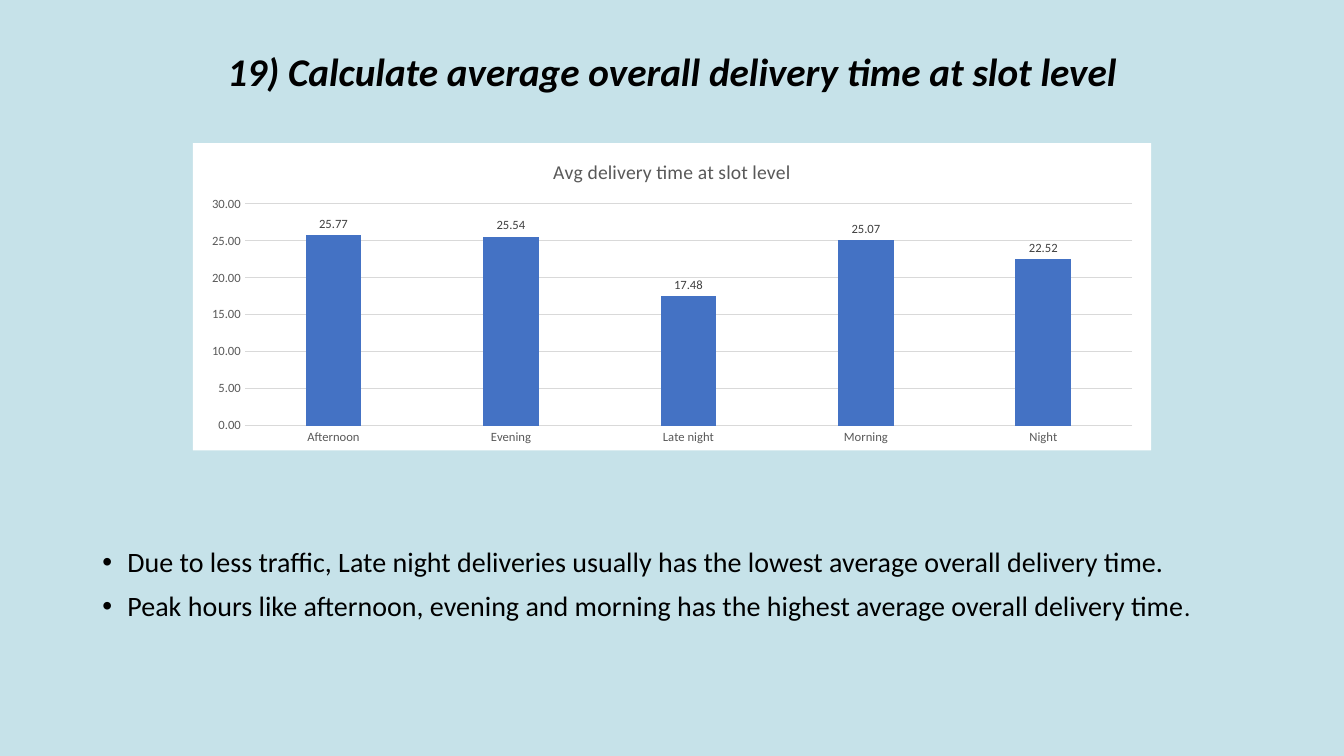
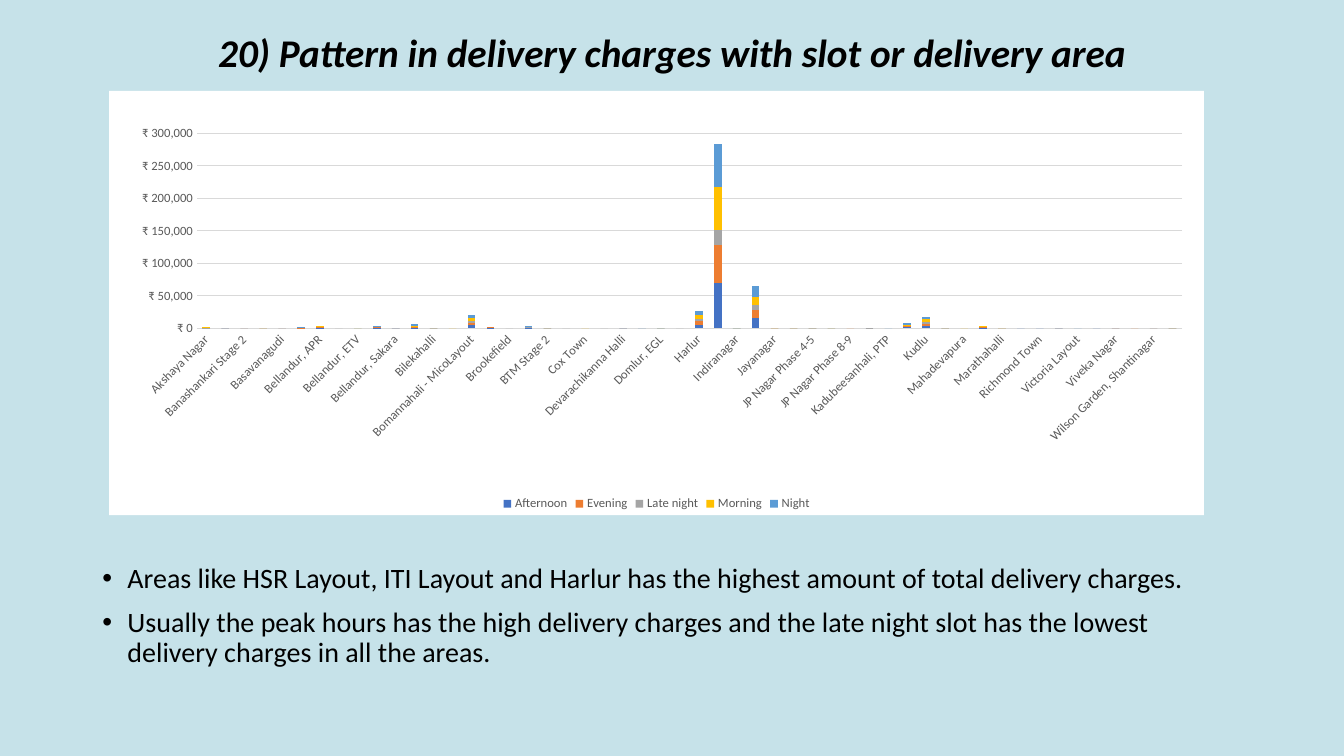
import pptx
import pptx.util
import pptx.dml.color
import pptx.chart.data
import pptx.enum.chart
import pptx.enum.text
import pptx.oxml

Pt = pptx.util.Pt
RGBColor = pptx.dml.color.RGBColor
ChartType = pptx.enum.chart.XL_CHART_TYPE

FONT = "Calibri"
SKY = RGBColor(0xC6, 0xE2, 0xE9)
BLACK = RGBColor(0, 0, 0)
AXIS_GRAY = RGBColor(0x59, 0x59, 0x59)
LABEL_GRAY = RGBColor(0x40, 0x40, 0x40)
GRID_GRAY = RGBColor(0xD9, 0xD9, 0xD9)
SERIES_COLORS = [
    RGBColor(0x44, 0x72, 0xC4),
    RGBColor(0xED, 0x7D, 0x31),
    RGBColor(0xA5, 0xA5, 0xA5),
    RGBColor(0xFF, 0xC0, 0x00),
    RGBColor(0x5B, 0x9B, 0xD5),
]
CHART_NS = 'xmlns:c="http://schemas.openxmlformats.org/drawingml/2006/chart"'
DRAWING_NS = 'xmlns:a="http://schemas.openxmlformats.org/drawingml/2006/main"'
SIDE, TEXT_WIDTH = 66, 828

# Data
SLOTS = ["Afternoon", "Evening", "Late night", "Morning", "Night"]
AREAS = [
    "Akshaya Nagar", "Arekere", "Banashankari Stage 2", "Bannerghatta",
    "Basavanagudi", "Bellandur - Off Sarjapur Road", "Bellandur, APR",
    "Bellandur, Ecospace", "Bellandur, ETV", "Bellandur, Green Glen",
    "Bellandur, Sakara", "Bellandur, Sarjapur Road", "Bilekahalli", "Binnipet",
    "Bomannahali - MicoLayout", "Bommanahalli", "Brookefield", "BTM Stage 1",
    "BTM Stage 2", "Challagatta", "Cox Town", "CV Raman Nagar",
    "Devarachikanna Halli", "Doddanekundi", "Domlur, EGL", "Frazer Town",
    "Harlur", "HSR Layout", "Indiranagar", "ITI Layout", "Jayanagar",
    "JP Nagar Phase 1-3", "JP Nagar Phase 4-5", "JP Nagar Phase 6-7",
    "JP Nagar Phase 8-9", "Kadubeesanhali, Heritage", "Kadubeesanhali, PTP",
    "Koramangala, Ejipura", "Kudlu", "Kumaraswamy Layout", "Mahadevapura",
    "Manipal County", "Marathahalli", "Pattandur", "Richmond Town",
    "Sarjapur Road", "Victoria Layout", "Vimanapura", "Viveka Nagar",
    "Whitefield", "Wilson Garden, Shantinagar", "Yemalur",
]
# Charges in thousands, one row per slot and one entry per area; "-" is no data
CHARGES = [
    "0 0 - - - 0 1 - - 1 0 1 0 - 5 1 - 1 0 - - - 0 - 0 - "
    "6 70 0 16 0 - 0 0 - 0 - 2 4 0 - 1 - 0 0 0 - 0 0 - - 0",
    "0 0 0 0 0 1 1 - - 1 0 1 0 - 4 1 - 0 0 - - - 0 - - - "
    "5 58 - 12 0 0 0 - 0 - - 1 3 0 - 1 0 - - 0 - - 0 0 0 0",
    "1 0 - - - 0 - 0 - 0 0 1 0 - 2 0 0 1 0 0 - 0 0 0 0 0 "
    "3 23 0 8 - 0 0 0 - 1 - 2 3 - - 1 - - - 0 - - 0 - - -",
    "1 - - 0 - 0 1 - 0 1 - 1 0 0 5 0 - 0 0 - 0 - - - 0 - "
    "6 66 0 13 0 0 0 0 - - - 1 4 0 0 1 0 - - - - - - - - 0",
    "0 0 0 0 0 1 0 - 0 1 0 3 0 - 5 0 - 1 0 - - - 0 0 0 - "
    "6 66 0 17 - 0 0 - - 0 0 2 3 0 - 0 0 - - 0 0 - - - 0 0",
]
charges_by_slot = {
    slot: [None if entry == "-" else int(entry) * 1000 for entry in row.split()]
    for slot, row in zip(SLOTS, CHARGES)
}

SLIDES = [
    {
        "title": "19) Calculate average overall delivery time at slot level",
        "title_top": 29, "title_height": 47.5,
        "bullets": [
            [("Due to less traffic, Late night deliveries usually has the lowest "
              "average overall delivery time.", 20)],
            [("Peak hours like afternoon, evening and morning has the highest "
              "average overall delivery time", 20), (".", 18)],
        ],
        "bullets_top": 388, "bullets_height": 98,
        "chart_type": ChartType.COLUMN_CLUSTERED,
        "chart_place": (137.8, 102.2, 684.5, 219.5),
        "chart_title": "Avg delivery time at slot level",
        "categories": SLOTS,
        "series": {"Series 1": [25.77, 25.54, 17.48, 25.07, 22.52]},
        "gap": 219, "overlap": -27, "format": "0.00", "maximum": 30, "step": 5,
    },
    {
        "title": "20) Pattern in delivery charges with slot or delivery area",
        "title_top": 13, "title_height": 52,
        "bullets": [
            [("Areas like HSR Layout, ITI Layout and Harlur has the highest amount "
              "of total delivery charges.", 20)],
            [("Usually the peak hours has the high delivery charges and the late "
              "night slot has the lowest delivery charges in all the areas.", 20)],
        ],
        "bullets_top": 399.5, "bullets_height": 87,
        "chart_type": ChartType.COLUMN_STACKED,
        "chart_place": (78, 65, 782, 303),
        "chart_title": None,
        "categories": AREAS,
        "series": charges_by_slot,
        "gap": 150, "overlap": 100, "format": '"₹"\\ #,##0',
        "maximum": 300000, "step": 50000,
        "plot": {"x": 0.08, "y": 0.1, "w": 0.9, "h": 0.46},
    },
]


def style_font(font, size, color, strong=False):
    font.name = FONT
    font.size = Pt(size)
    font.color.rgb = color
    font.bold = font.italic = strong


# Deck and shared background
deck = pptx.Presentation()
deck.slide_width, deck.slide_height = Pt(960), Pt(540)
background = deck.slide_master.background.fill
background.solid()
background.fore_color.rgb = SKY

for content in SLIDES:
    page = deck.slides.add_slide(deck.slide_layouts[5])

    # Title
    title = page.shapes.title
    title.left, title.top = Pt(SIDE), Pt(content["title_top"])
    title.width, title.height = Pt(TEXT_WIDTH), Pt(content["title_height"])
    title.text_frame.auto_size = pptx.enum.text.MSO_AUTO_SIZE.NONE
    title.text_frame.vertical_anchor = pptx.enum.text.MSO_ANCHOR.MIDDLE
    para = title.text_frame.paragraphs[0]
    para.alignment = pptx.enum.text.PP_ALIGN.CENTER
    para.line_spacing = 0.9
    span = para.add_run()
    span.text = content["title"]
    style_font(span.font, 28, BLACK, strong=True)

    # Bullets
    box = page.shapes.add_textbox(Pt(SIDE), Pt(content["bullets_top"]),
                                  Pt(TEXT_WIDTH), Pt(content["bullets_height"]))
    box.text_frame.word_wrap = True
    for index, spans in enumerate(content["bullets"]):
        para = box.text_frame.paragraphs[0] if index == 0 else box.text_frame.add_paragraph()
        para.line_spacing = 0.9
        para.space_before = Pt(10)
        properties = para._p.get_or_add_pPr()
        properties.set("marL", str(Pt(18)))
        properties.set("indent", str(Pt(-18)))
        for bullet in ('<a:buFont %s typeface="Arial"/>', '<a:buChar %s char="•"/>'):
            properties.append(pptx.oxml.parse_xml(bullet % DRAWING_NS))
        for text, size in spans:
            span = para.add_run()
            span.text = text
            style_font(span.font, size, BLACK)

    # Chart on a white panel
    data = pptx.chart.data.CategoryChartData()
    data.categories = content["categories"]
    for name, values in content["series"].items():
        data.add_series(name, values)
    place = [Pt(length) for length in content["chart_place"]]
    chart = page.shapes.add_chart(content["chart_type"], *place, data).chart
    style_font(chart.font, 10, BLACK)
    chart._chartSpace.chart.addnext(pptx.oxml.parse_xml(
        f'<c:spPr {CHART_NS} {DRAWING_NS}><a:solidFill><a:srgbClr val="FFFFFF"/>'
        '</a:solidFill><a:ln><a:noFill/></a:ln></c:spPr>'))

    # Columns
    plot = chart.plots[0]
    plot.vary_by_categories = False
    plot.gap_width = content["gap"]
    plot.overlap = content["overlap"]
    for series, color in zip(plot.series, SERIES_COLORS):
        series.invert_if_negative = False
        series.format.fill.solid()
        series.format.fill.fore_color.rgb = color

    # Axes
    for axis in (chart.category_axis, chart.value_axis):
        axis.major_tick_mark = axis.minor_tick_mark = pptx.enum.chart.XL_TICK_MARK.NONE
        style_font(axis.tick_labels.font, 9, AXIS_GRAY)
    category_line = chart.category_axis.format.line
    grid_line = chart.value_axis.major_gridlines.format.line
    for line in (category_line, grid_line):
        line.color.rgb = GRID_GRAY
        line.width = Pt(0.75)
    # This angle lets the labels turn by themselves when they are crowded
    chart.category_axis._element.txPr.bodyPr.set("rot", "-60000000")
    chart.value_axis.format.line.fill.background()
    chart.value_axis.minimum_scale = 0
    chart.value_axis.maximum_scale = content["maximum"]
    chart.value_axis.major_unit = content["step"]
    chart.value_axis.tick_labels.number_format = content["format"]
    chart.value_axis.tick_labels.number_format_is_linked = False

    # One series: title and values; several: legend and a fixed plot area
    chart.has_title = content["chart_title"] is not None
    chart.has_legend = not chart.has_title
    if chart.has_title:
        chart.chart_title.include_in_layout = False
        span = chart.chart_title.text_frame.paragraphs[0].add_run()
        span.text = content["chart_title"]
        style_font(span.font, 14, AXIS_GRAY)
        plot.has_data_labels = True
        labels = plot.data_labels
        labels.show_value = True
        labels.position = pptx.enum.chart.XL_LABEL_POSITION.OUTSIDE_END
        labels.number_format = content["format"]
        labels.number_format_is_linked = False
        style_font(labels.font, 9, LABEL_GRAY)
    else:
        chart.legend.position = pptx.enum.chart.XL_LEGEND_POSITION.BOTTOM
        chart.legend.include_in_layout = False
        style_font(chart.legend.font, 9, AXIS_GRAY)
        area = chart._chartSpace.chart.plotArea
        for old_layout in area.findall(pptx.oxml.ns.qn("c:layout")):
            area.remove(old_layout)
        sizes = "".join(f'<c:{key} val="{value}"/>' for key, value in content["plot"].items())
        area.insert(0, pptx.oxml.parse_xml(
            f'<c:layout {CHART_NS}><c:manualLayout><c:layoutTarget val="inner"/>'
            '<c:xMode val="edge"/><c:yMode val="edge"/>'
            f'{sizes}</c:manualLayout></c:layout>'))

deck.save("out.pptx")
